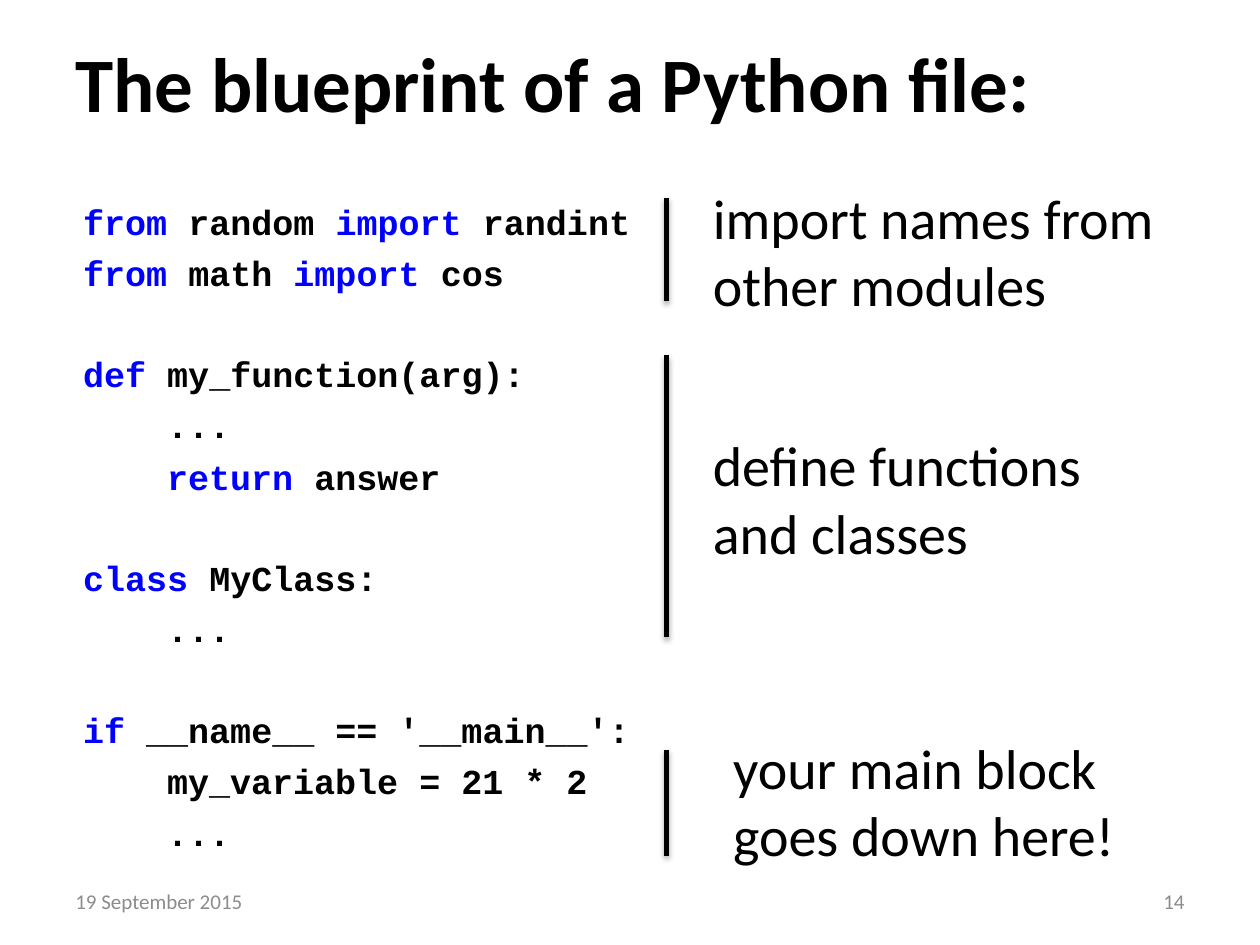
import dataclasses
import itertools

import pptx
import pptx.dml.color
import pptx.enum.shapes
import pptx.enum.text
import pptx.oxml
import pptx.oxml.ns
import pptx.util

Cm = pptx.util.Cm
Pt = pptx.util.Pt
ALIGN = pptx.enum.text.PP_ALIGN
ANCHOR = pptx.enum.text.MSO_ANCHOR


@dataclasses.dataclass(frozen=True)
class Theme:
    text_font: str = "Calibri"
    code_font: str = "Courier New"
    ink: str = "000000"
    keyword: str = "0000FF"
    muted: str = "8C8C8C"
    title_size: int = 44
    note_size: int = 32
    code_size: int = 20
    footer_size: int = 12
    bar_width: int = 3


THEME = Theme()
KEYWORDS = {"from", "import", "def", "return", "class", "if"}
CODE_BLOCKS = [
    ["from random import randint", "from math import cos"],
    ["def my_function(arg):", "    ...", "    return answer"],
    ["class MyClass:", "    ..."],
    ["if __name__ == '__main__':", "    my_variable = 21 * 2", "    ..."],
]
NOTES = [
    ("import names from other modules", 14.12, 3.58, 10),
    ("define functions and classes", 14.12, 8.56, 9.22),
    ("your main block goes down here!", 14.53, 14.66, 9.32),
]
BAR_LEFT = 13.44
BAR_SPANS = [(3.99, 6.07), (7.16, 12.85), (15.11, 17.25)]
CODE_MARGIN = 0.15
CHARACTER_WIDTH = 0.6 * THEME.code_size
LINE_GAP = 5.4
BLOCK_GAP = 33.5
SHADOW = (
    f'<a:effectLst {pptx.oxml.ns.nsdecls("a")}>'
    '<a:outerShdw blurRad="40000" dist="23000" dir="5400000" rotWithShape="0">'
    '<a:srgbClr val="000000"><a:alpha val="35000"/></a:srgbClr>'
    "</a:outerShdw></a:effectLst>"
)


def set_values(target, values):
    for name, value in values.items():
        setattr(target, name, value)


def place(shape, left, top, width, height):
    values = {"left": left, "top": top, "width": width, "height": height}
    set_values(shape, {name: Cm(value) for name, value in values.items()})


def add_run(paragraph, text, size, color, font=THEME.text_font, bold=False):
    run = paragraph.add_run()
    run.text = text
    set_values(run.font, {"name": font, "size": Pt(size), "bold": bold})
    run.font.color.rgb = pptx.dml.color.RGBColor.from_string(color)


def fill_title(title):
    place(title, 1.27, 0.05, 22.86, 3.18)
    title.text_frame.vertical_anchor = ANCHOR.MIDDLE
    paragraph = title.text_frame.paragraphs[0]
    paragraph.alignment = ALIGN.LEFT
    add_run(paragraph, "The blueprint of a Python file:",
            THEME.title_size, THEME.ink, bold=True)


def add_code_line(paragraph, line, gap):
    code = line.lstrip()
    indent = Pt((len(line) - len(code)) * CHARACTER_WIDTH)
    paragraph.space_before = Pt(gap)
    properties = paragraph._p.get_or_add_pPr()
    properties.set("marL", str(Cm(CODE_MARGIN) + indent))
    properties.set("indent", "0")
    properties.append(pptx.oxml.parse_xml(f'<a:buNone {pptx.oxml.ns.nsdecls("a")}/>'))
    words = code.replace(" ", " \n").split("\n")
    for is_keyword, group in itertools.groupby(words, lambda word: word.strip() in KEYWORDS):
        color = THEME.keyword if is_keyword else THEME.ink
        add_run(paragraph, "".join(group), THEME.code_size, color, THEME.code_font, True)


def fill_code(body):
    place(body, 1.27, 3.91, 22.86, 13.2)
    frame = body.text_frame
    frame.auto_size = pptx.enum.text.MSO_AUTO_SIZE.NONE
    for block_number, block in enumerate(CODE_BLOCKS):
        for line_number, line in enumerate(block):
            if line_number:
                add_code_line(frame.add_paragraph(), line, LINE_GAP)
            elif block_number:
                add_code_line(frame.add_paragraph(), line, BLOCK_GAP)
            else:
                add_code_line(frame.paragraphs[0], line, 0)


def add_text(slide, text, box, size, color, alignment=ALIGN.LEFT, anchor=ANCHOR.TOP):
    shape = slide.shapes.add_textbox(*map(Cm, box))
    set_values(shape.text_frame, {"word_wrap": True, "vertical_anchor": anchor})
    paragraph = shape.text_frame.paragraphs[0]
    paragraph.alignment = alignment
    add_run(paragraph, text, size, color)


def add_bar(slide, top, bottom):
    bar = slide.shapes.add_connector(
        pptx.enum.shapes.MSO_CONNECTOR.STRAIGHT,
        Cm(BAR_LEFT), Cm(top), Cm(BAR_LEFT), Cm(bottom))
    bar.line.width = Pt(THEME.bar_width)
    bar.line.color.rgb = pptx.dml.color.RGBColor.from_string(THEME.ink)
    bar._element.spPr.append(pptx.oxml.parse_xml(SHADOW))


def main():
    presentation = pptx.Presentation()
    set_values(presentation, {"slide_width": Cm(25.4), "slide_height": Cm(19.05)})
    slide = presentation.slides.add_slide(presentation.slide_layouts[1])
    fill_title(slide.shapes.title)
    fill_code(slide.placeholders[1])
    for text, left, alignment in [("19 September 2015", 1.27, ALIGN.LEFT),
                                  ("14", 18.2, ALIGN.RIGHT)]:
        add_text(slide, text, (left, 17.66, 5.93, 1.01), THEME.footer_size,
                 THEME.muted, alignment, ANCHOR.MIDDLE)
    for top, bottom in BAR_SPANS:
        add_bar(slide, top, bottom)
    for text, left, top, width in NOTES:
        add_text(slide, text, (left, top, width, 3), THEME.note_size, THEME.ink)
    presentation.save("out.pptx")


if __name__ == "__main__":
    main()
